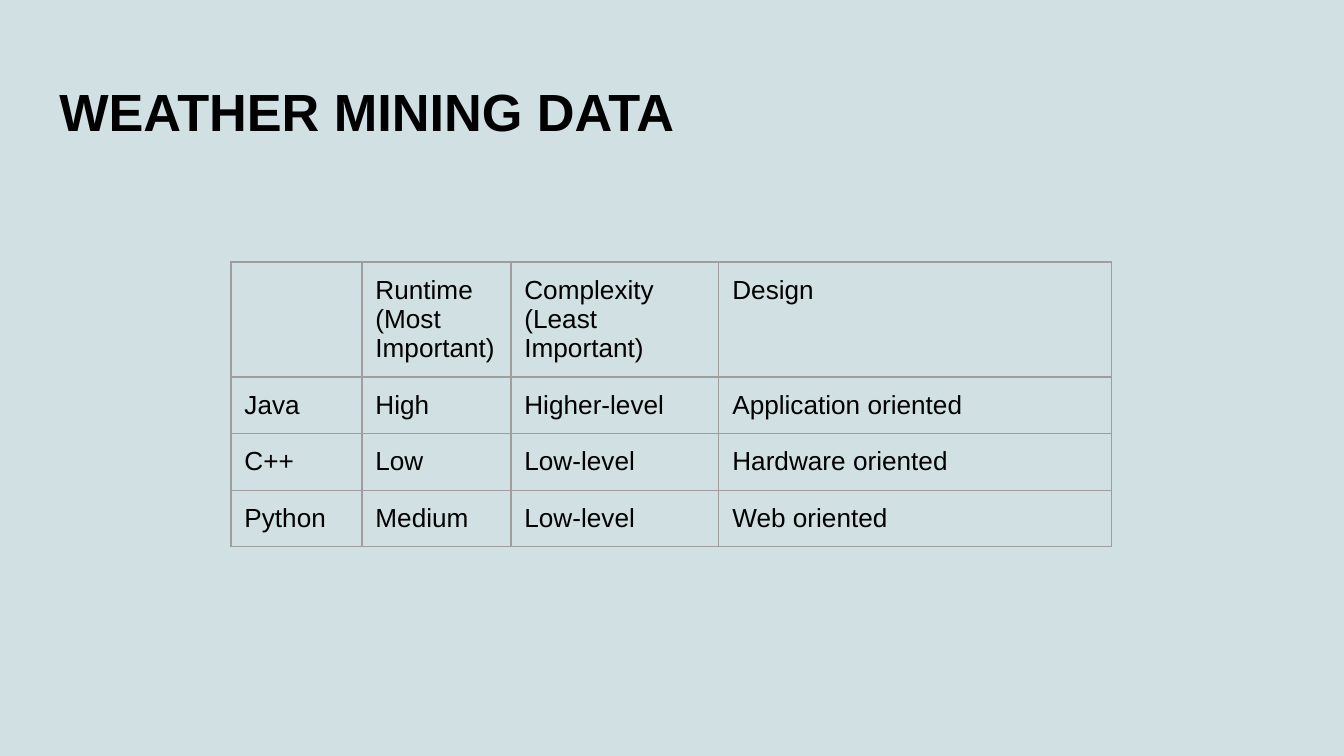
import pptx
import pptx.dml.color
import pptx.enum.text
import pptx.oxml
import pptx.oxml.ns
import pptx.util

PX = 914400 / 134.4
BACKGROUND = pptx.dml.color.RGBColor(0xD0, 0xE0, 0xE3)
BLACK = pptx.dml.color.RGBColor(0x00, 0x00, 0x00)
BORDER = pptx.dml.color.RGBColor(0x9E, 0x9E, 0x9E)
FONT = "Arial"
INSET = pptx.util.Inches(0.1)

COLUMN_WIDTHS = [131, 149, 208, 393]
ROW_HEIGHTS = [115, 56, 57, 56]
LANGUAGES = [
    ["", "Runtime (Most Important)", "Complexity (Least Important)", "Design"],
    ["Java", "High", "Higher-level", "Application oriented"],
    ["C++", "Low", "Low-level", "Hardware oriented"],
    ["Python", "Medium", "Low-level", "Web oriented"],
]


def px(length):
    return pptx.util.Emu(round(length * PX))


def write(frame, text, size, bold=False):
    para = frame.paragraphs[0]
    para.alignment = pptx.enum.text.PP_ALIGN.LEFT
    span = para.add_run()
    span.text = text
    span.font.name = FONT
    span.font.size = pptx.util.Pt(size)
    span.font.bold = bold
    span.font.color.rgb = BLACK


deck = pptx.Presentation()
deck.slide_width = px(1344)
deck.slide_height = px(756)
page = deck.slides.add_slide(deck.slide_layouts[5])
page.background.fill.solid()
page.background.fill.fore_color.rgb = BACKGROUND

title = page.shapes.title
title.left, title.top, title.width, title.height = px(46), px(66), px(1252), px(84)
frame = title.text_frame
frame.word_wrap = True
frame.auto_size = pptx.enum.text.MSO_AUTO_SIZE.NONE
frame.vertical_anchor = pptx.enum.text.MSO_ANCHOR.TOP
frame.margin_left = frame.margin_right = frame.margin_top = frame.margin_bottom = INSET
write(frame, "WEATHER MINING DATA", 28, bold=True)

table = page.shapes.add_table(
    len(ROW_HEIGHTS), len(COLUMN_WIDTHS), px(231), px(262),
    px(sum(COLUMN_WIDTHS)), px(sum(ROW_HEIGHTS))).table
table.first_row = False
table.horz_banding = False
for column, width in zip(table.columns, COLUMN_WIDTHS):
    column.width = px(width)
for row, height, texts in zip(table.rows, ROW_HEIGHTS, LANGUAGES):
    row.height = px(height)
    for cell, text in zip(row.cells, texts):
        cell.margin_left = cell.margin_right = INSET
        cell.margin_top = cell.margin_bottom = INSET
        if text:
            write(cell.text_frame, text, 14)
        properties = cell._tc.get_or_add_tcPr()
        for side in ("lnL", "lnR", "lnT", "lnB"):
            properties.append(pptx.oxml.parse_xml(
                f'<a:{side} {pptx.oxml.ns.nsdecls("a")} w="{pptx.util.Pt(0.75)}">'
                f'<a:solidFill><a:srgbClr val="{BORDER}"/></a:solidFill></a:{side}>'))
        cell.fill.background()

deck.save("out.pptx")
